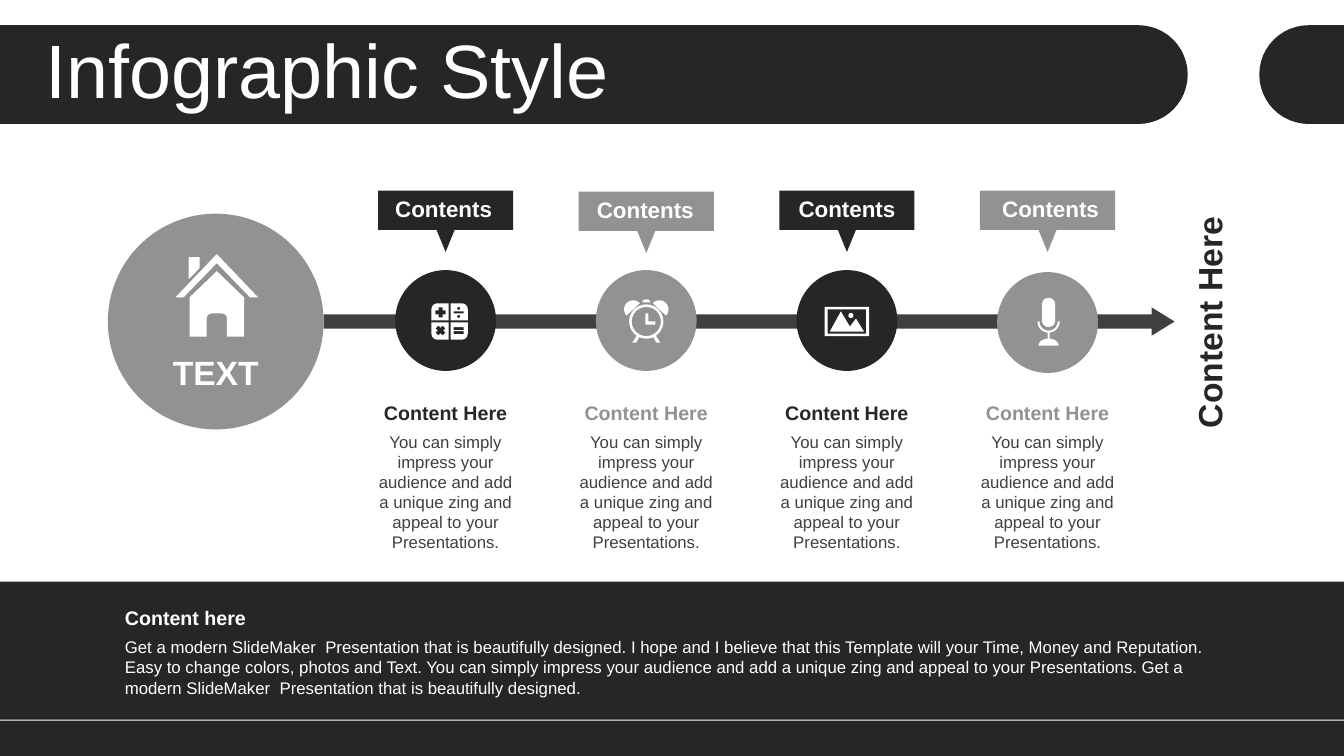
from dataclasses import dataclass
from math import cos, radians, sin

from pptx import Presentation
from pptx.dml.color import RGBColor
from pptx.enum.shapes import MSO_SHAPE as SHAPE
from pptx.enum.text import MSO_ANCHOR as ANCHOR, MSO_AUTO_SIZE as FIT, PP_ALIGN as ALIGN
from pptx.util import Inches, Pt

Point = tuple[float, float]
Contour = list[Point]


@dataclass(frozen=True)
class Theme:
    font: str = "Arial"
    dark: str = "262626"
    gray: str = "929292"
    text: str = "404040"
    white: str = "FFFFFF"
    title: int = 54
    large: int = 24
    flag: int = 16
    heading: int = 14
    body: int = 12


@dataclass(frozen=True)
class Label:
    text: str
    left: float
    top: float
    width: float
    height: float
    size: int
    color: str
    bold: bool = True
    align: ALIGN = ALIGN.CENTER
    anchor: ANCHOR = ANCHOR.MIDDLE
    rotation: int = 0


@dataclass(frozen=True)
class Step:
    color: str
    icon: list[Contour]
    icon_dx: float = 0
    flag_top: float = 1.89
    disc_top: float = 2.68
    label_dx: float = 0


T = Theme()
SLIDE_W, SLIDE_H = 13.33, 7.5
FIRST_X, STEP_PITCH, ICON_Y = 4.42, 1.99, 3.19
STEP_TEXT = ("You can simply impress your audience and add a unique zing "
             "and appeal to your Presentations.")
FOOTER_TEXT = (
    "Get a modern SlideMaker  Presentation that is beautifully designed. I hope and I believe "
    "that this Template will your Time, Money and Reputation. Easy to change colors, photos and "
    "Text. You can simply impress your audience and add a unique zing and appeal to your "
    "Presentations. Get a modern SlideMaker  Presentation that is beautifully designed.")


# Outline helpers: angles in degrees, clockwise from the right
def arc(cx: float, cy: float, rx: float, start: int, end: int, ry: float = 0) -> Contour:
    angles = [radians(start + (end - start) * i / 24) for i in range(25)]
    return [(cx + rx * cos(a), cy + (ry or rx) * sin(a)) for a in angles]


def circle(cx: float, cy: float, r: float) -> Contour:
    return arc(cx, cy, r, 0, 360)


def bar(cx: float, cy: float, w: float, h: float) -> Contour:
    return [(cx + sx * w / 2, cy + sy * h / 2) for sx, sy in ((-1, -1), (1, -1), (1, 1), (-1, 1))]


def plus(cx: float, cy: float, arm: float, half: float, turn: int = 0) -> Contour:
    corner = [(arm, -half), (arm, half), (half, half)]
    angles = [radians(turn + 90 * k) for k in range(4)]
    return [(cx + x * cos(a) - y * sin(a), cy + x * sin(a) + y * cos(a))
            for a in angles for x, y in corner]


# Icons, drawn around their own centre
def home_icon() -> list[Contour]:
    door = arc(0.05, 0.23, 0.05, 0, -90) + arc(-0.05, 0.23, 0.05, -90, -180)
    house = [(0, -0.24), (0.27, 0.02), (0.27, 0.41), (0.1, 0.41), *door,
             (-0.1, 0.41), (-0.27, 0.41), (-0.27, 0.02)]
    chimney = [(-0.28, -0.38), (-0.17, -0.38), (-0.17, -0.27), (-0.28, -0.16)]
    roof = [(0, -0.41), (0.41, 0.02), (0.33, 0.02), (0, -0.32), (-0.33, 0.02), (-0.41, 0.02)]
    return [house, chimney, roof]


def calculator_icon() -> list[Contour]:
    tile = [(0.01, 0.01), (0.18, 0.01), *arc(0.12, 0.12, 0.06, 0, 90), (0.01, 0.18)]
    tiles = [[(sx * x, sy * y) for x, y in tile] for sx in (-1, 1) for sy in (-1, 1)]
    divide = [bar(0.09, -0.09, 0.1, 0.02), circle(0.09, -0.13, 0.015), circle(0.09, -0.05, 0.015)]
    equals = [bar(0.09, y, 0.1, 0.03) for y in (0.07, 0.11)]
    return [*tiles, plus(-0.09, -0.09, 0.05, 0.02), plus(-0.09, 0.09, 0.05, 0.02, 45),
            *divide, *equals]


def clock_icon() -> list[Contour]:
    rim = [*arc(0, 0, 0.17, 124, 416), (0.14, 0.21), (0.1, 0.21),
           *arc(0, 0, 0.17, 66, 114), (-0.1, 0.21), (-0.14, 0.21)]
    hands = [(-0.01, -0.08), (0.02, -0.08), (0.02, 0), (0.09, 0), (0.09, 0.03), (-0.01, 0.03)]
    bells = [arc(-0.13, -0.12, 0.09, 137, 317), arc(0.13, -0.12, 0.09, 223, 403)]
    return [rim, circle(0, 0, 0.145), hands, *bells, arc(0, -0.19, 0.04, 180, 360, 0.03)]


def photo_icon() -> list[Contour]:
    hills = [(-0.06, -0.1), (0.03, 0.05), (0.09, -0.03), (0.17, 0.1), (-0.17, 0.1)]
    return [bar(0, 0, 0.44, 0.29), bar(0, 0, 0.38, 0.24), hills, circle(0.04, -0.06, 0.025)]


def microphone_icon() -> list[Contour]:
    capsule = arc(0, -0.17, 0.065, 180, 360) + arc(0, -0.01, 0.065, 0, 180)
    stand = [*arc(0, 0, 0.11, 0, 85), *arc(0, 0.24, 0.1, 276, 360, 0.07),
             *arc(0, 0.24, 0.1, 180, 264, 0.07), *arc(0, 0, 0.11, 95, 180),
             *arc(0, 0, 0.09, 180, 0)]
    return [capsule, stand]


STEPS = [
    Step(T.dark, calculator_icon(), icon_dx=0.04, label_dx=-0.02),
    Step(T.gray, clock_icon(), flag_top=1.9, label_dx=-0.01),
    Step(T.dark, photo_icon()),
    Step(T.gray, microphone_icon(), icon_dx=0.01, disc_top=2.7, label_dx=0.03),
]


# Drawing
def paint(sp, color: str) -> None:
    sp.fill.solid()
    sp.fill.fore_color.rgb = RGBColor.from_string(color)
    sp.line.fill.background()
    sp.shadow.inherit = False


def add_preset(s, kind: SHAPE, left: float, top: float, width: float, height: float, color: str):
    sp = s.shapes.add_shape(kind, Inches(left), Inches(top), Inches(width), Inches(height))
    paint(sp, color)
    return sp


def add_outline(s, contours: list[Contour], color: str, cx: float = 0, cy: float = 0) -> None:
    placed = [[(Inches(cx + x), Inches(cy + y)) for x, y in c] for c in contours]
    builder = s.shapes.build_freeform(*placed[0][0])
    for i, points in enumerate(placed):
        if i:
            builder.move_to(*points[0])
        builder.add_line_segments(points[1:], close=True)
    paint(builder.convert_to_shape(), color)


def write(sp, label: Label) -> None:
    sp.left, sp.top = Inches(label.left), Inches(label.top)
    sp.width, sp.height = Inches(label.width), Inches(label.height)
    sp.rotation = label.rotation
    tf = sp.text_frame
    tf.text = label.text
    tf.word_wrap = True
    tf.vertical_anchor = label.anchor
    p = tf.paragraphs[0]
    p.alignment = label.align
    font = p.runs[0].font
    font.name, font.size, font.bold = T.font, Pt(label.size), label.bold
    font.color.rgb = RGBColor.from_string(label.color)


def add_label(s, label: Label) -> None:
    sp = s.shapes.add_textbox(0, 0, 0, 0)
    write(sp, label)
    sp.text_frame.auto_size = FIT.SHAPE_TO_FIT_TEXT


def add_step(s, step: Step, x: float) -> None:
    add_preset(s, SHAPE.OVAL, x - 0.5, step.disc_top, 1, 1, step.color)
    flag = [(-0.67, 0), (0.67, 0), (0.67, 0.39), (0.09, 0.39), (0, 0.61), (-0.09, 0.39),
            (-0.67, 0.39)]
    add_outline(s, [flag], step.color, x, step.flag_top)
    add_outline(s, [*step.icon], T.white, x + step.icon_dx, ICON_Y)
    add_label(s, Label("Contents", x - 0.66 + step.label_dx, step.flag_top - 0.01, 1.32, 0.37,
                       T.flag, T.white))
    add_label(s, Label("Content Here", x - 0.79, 3.92, 1.58, 0.34, T.heading, step.color))
    add_label(s, Label(STEP_TEXT, x - 0.79, 4.23, 1.58, 1.31, T.body, T.text, bold=False,
                       anchor=ANCHOR.TOP))


def main() -> None:
    prs = Presentation()
    prs.slide_width, prs.slide_height = Inches(SLIDE_W), Inches(SLIDE_H)
    s = prs.slides.add_slide(prs.slide_layouts[5])

    # Header bars, with the title raised above them
    add_outline(s, [[(0, 0.25), *arc(11.29, 0.74, 0.49, -90, 90), (0, 1.23)]], T.dark)
    add_outline(s, [[*arc(12.98, 0.74, 0.49, 90, 270), (SLIDE_W, 0.25), (SLIDE_W, 1.23)]], T.dark)
    title = s.shapes.title
    write(title, Label("Infographic Style", 0.35, 0.34, 12.66, 0.79, T.title, T.white,
                       bold=False, align=ALIGN.LEFT))
    title.text_frame.auto_size = FIT.NONE
    title.text_frame.paragraphs[0].line_spacing = 0.9
    title.element.getparent().append(title.element)

    # Timeline
    arrow = add_preset(s, SHAPE.RIGHT_ARROW, 3.21, 3.05, 8.44, 0.28, T.text)
    arrow.adjustments[1] = 0.81
    add_preset(s, SHAPE.OVAL, 1.07, 2.12, 2.14, 2.14, T.gray)
    add_outline(s, home_icon(), T.white, 2.15, 2.93)
    add_label(s, Label("TEXT", 1.59, 3.44, 1.1, 0.5, T.large, T.white))
    add_label(s, Label("Content Here", 10.82, 2.95, 2.34, 0.5, T.large, T.dark, rotation=270))
    for i, step in enumerate(STEPS):
        add_step(s, step, FIRST_X + i * STEP_PITCH)

    # Footer
    add_preset(s, SHAPE.RECTANGLE, 0, 5.77, SLIDE_W, 1.37, T.dark)
    add_preset(s, SHAPE.RECTANGLE, 0, 7.15, SLIDE_W, 0.35, T.dark)
    add_label(s, Label("Content here", 1.14, 5.96, 11.18, 0.34, T.heading, T.white,
                       align=ALIGN.LEFT))
    add_label(s, Label(FOOTER_TEXT, 1.14, 6.27, 11.18, 0.71, T.body, T.white, bold=False,
                       align=ALIGN.LEFT, anchor=ANCHOR.TOP))
    prs.save("out.pptx")


if __name__ == "__main__":
    main()
